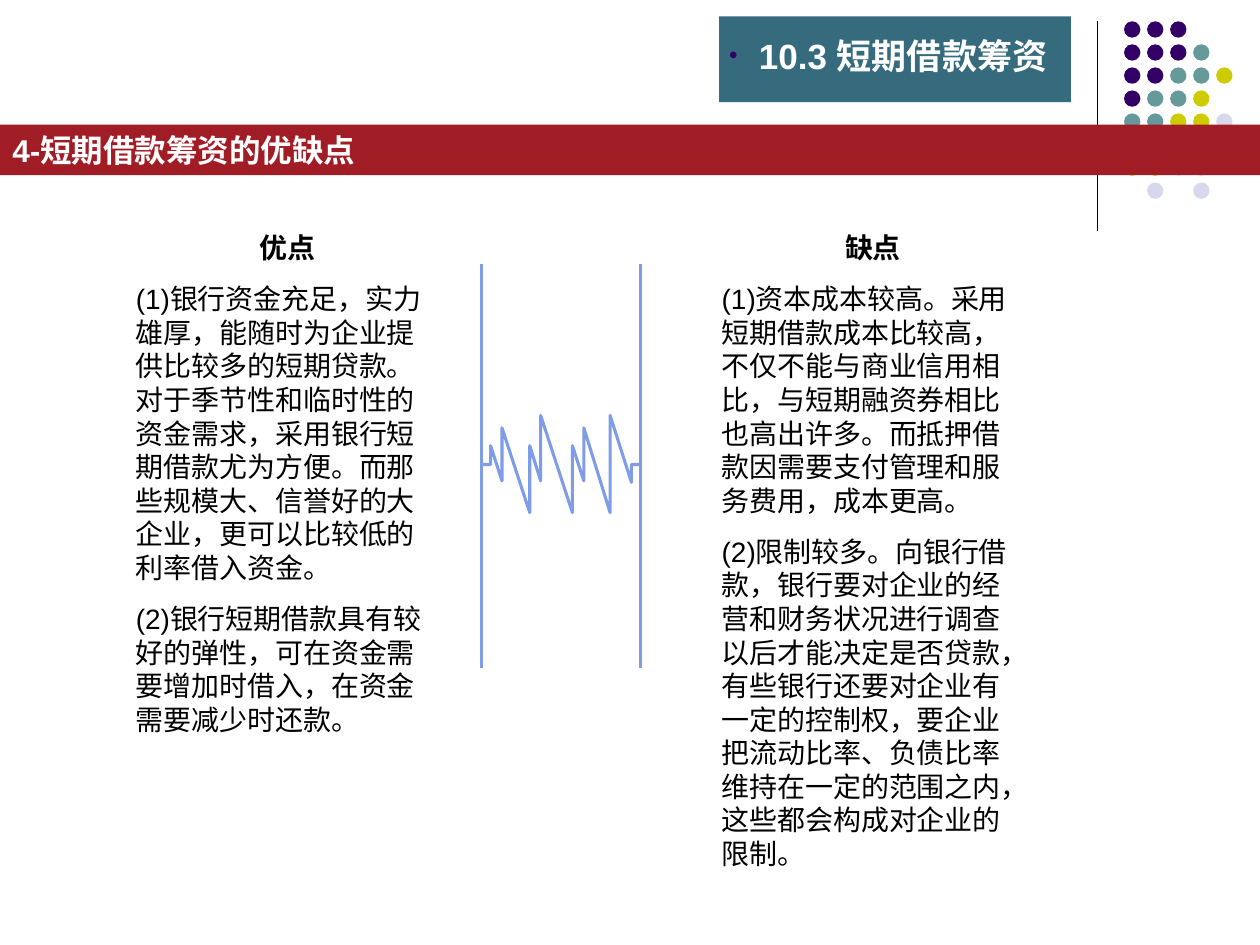
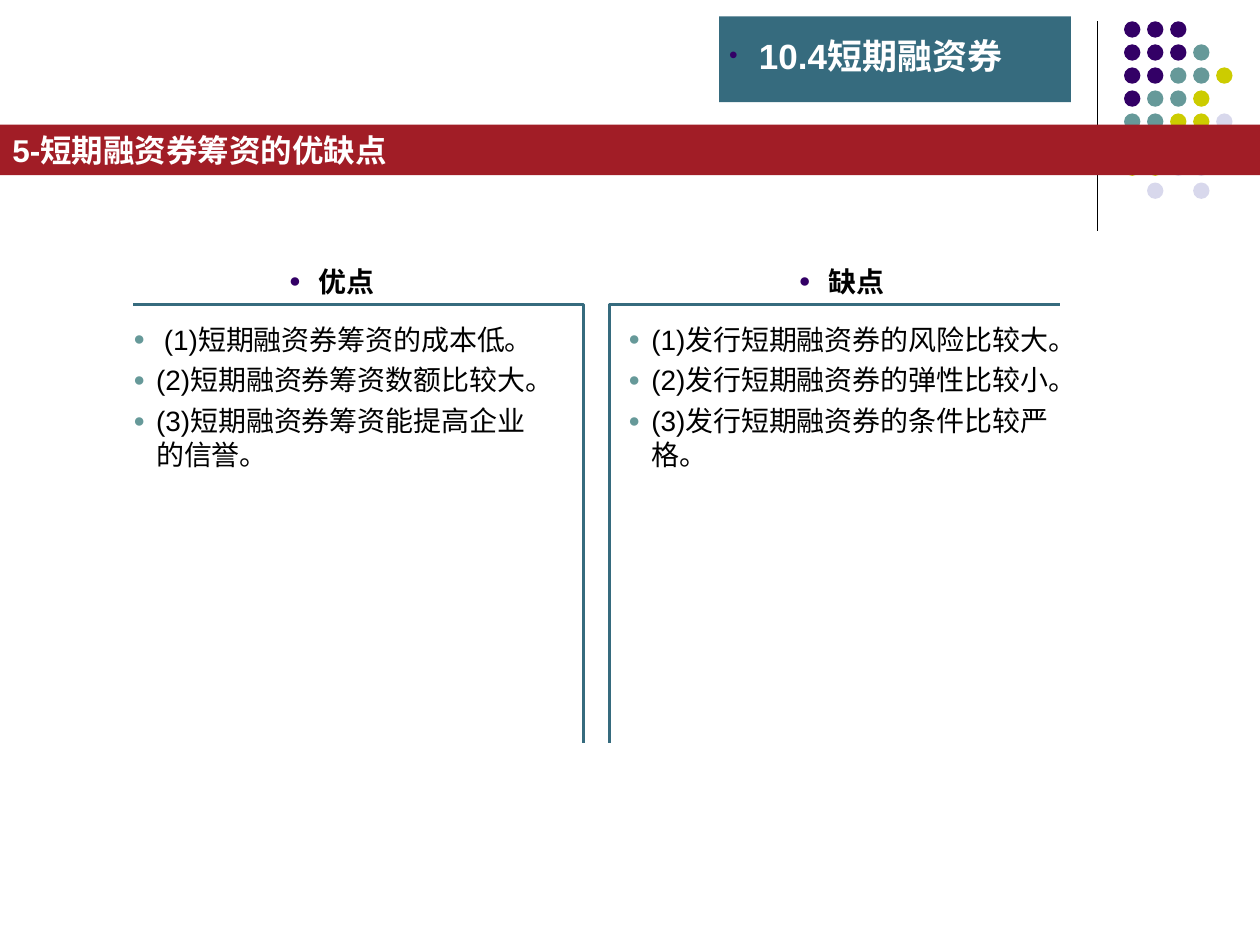
import pptx
import pptx.util
import pptx.dml.color
import pptx.enum.shapes
import pptx.enum.text
import pptx.oxml
import pptx.oxml.ns
from lxml import etree

Cm, Pt = pptx.util.Cm, pptx.util.Pt
SHAPE = pptx.enum.shapes.MSO_SHAPE
ALIGN = pptx.enum.text.PP_ALIGN
ANCHOR = pptx.enum.text.MSO_ANCHOR
qn = pptx.oxml.ns.qn

FONT = "Arial"
COLORS = {
    "band": "A11D26",
    "section": "366B7E",
    "break": "7E9CE8",
    "purple": "330066",
    "teal": "669999",
    "lime": "CCCC00",
    "lilac": "D8D8EC",
    "black": "000000",
    "white": "FFFFFF",
}
DOT_COLORS = {"P": "purple", "T": "teal", "Y": "lime", "L": "lilac"}
DOT_ROWS = ["PPP", "PPPT", "PPTTY", "PTTY", "TTYYL", "", "YYLL", " L L"]
INSET = (0.25, 0.13, 0.25, 0.13)


def rgb(name):
    return pptx.dml.color.RGBColor.from_string(COLORS[name])


def lengths(box):
    return [Cm(v) for v in box]


def add_bullet(p, char, color, indent):
    pPr = p._p.get_or_add_pPr()
    pPr.set("marL", str(Cm(indent)))
    pPr.set("indent", str(-Cm(indent)))
    clr = etree.SubElement(pPr, qn("a:buClr"))
    etree.SubElement(clr, qn("a:srgbClr"), val=COLORS[color])
    etree.SubElement(pPr, qn("a:buSzPct"), val="70000")
    etree.SubElement(pPr, qn("a:buFont"), typeface=FONT)
    etree.SubElement(pPr, qn("a:buChar"), char=char)


def write(tf, text, size=16, color="black", bold=False, align=ALIGN.LEFT,
          before=0, bullet=None, first=True):
    p = tf.paragraphs[0] if first else tf.add_paragraph()
    if bullet:
        add_bullet(p, *bullet)
    p.alignment = align
    p.line_spacing = Pt(1.2 * size)
    p.space_before = Pt(0 if first else before)
    r = p.add_run()
    r.text = text
    r.font.name = FONT
    r.font.size = Pt(size)
    r.font.bold = bold
    r.font.color.rgb = rgb(color)
    etree.SubElement(r.font._element, qn("a:ea"), typeface=FONT)


def set_frame(tf, inset=(0, 0, 0, 0), anchor=ANCHOR.TOP):
    tf.word_wrap = True
    tf.auto_size = pptx.enum.text.MSO_AUTO_SIZE.NONE
    tf.vertical_anchor = anchor
    tf.margin_left, tf.margin_top, tf.margin_right, tf.margin_bottom = lengths(inset)
    return tf


def add_text_frame(s, box, **frame):
    return set_frame(s.shapes.add_textbox(*lengths(box)).text_frame, **frame)


def add_filled(s, preset, box, color):
    sp = s.shapes.add_shape(preset, *lengths(box))
    sp.shadow.inherit = False
    sp.fill.solid()
    sp.fill.fore_color.rgb = rgb(color)
    sp.line.fill.background()
    return sp


def add_vertical(s, x, top, height, color, width):
    line = s.shapes.add_connector(pptx.enum.shapes.MSO_CONNECTOR.STRAIGHT,
                                  *lengths((x, top, x, top + height)))
    line.line.color.rgb = rgb(color)
    line.line.width = Pt(width)
    etree.SubElement(line._element.spPr, qn("a:effectLst"))


def add_outline(s, x, y, points, color):
    (start, *rest) = [(Cm(x + dx), Cm(y + dy)) for dx, dy in points]
    builder = s.shapes.build_freeform(*start)
    builder.add_line_segments(rest, close=False)
    sp = builder.convert_to_shape()
    sp.shadow.inherit = False
    sp.fill.background()
    sp.line.color.rgb = rgb(color)
    sp.line.width = Pt(1.75)


def draw_dots(s, x, y):
    step, size = 3.25 / 7, 0.33
    add_vertical(s, x - 0.53, y, 4.22, "black", 0.75)
    for row, codes in enumerate(DOT_ROWS):
        for col, code in enumerate(codes):
            if code in DOT_COLORS:
                box = (x + col * step, y + row * step, size, size)
                add_filled(s, SHAPE.OVAL, box, DOT_COLORS[code])


def draw_title(s, box, text):
    title = s.shapes.title
    s.shapes.element.append(title.element)
    title.left, title.top, title.width, title.height = lengths(box)
    title.fill.solid()
    title.fill.fore_color.rgb = rgb("band")
    write(set_frame(title.text_frame, inset=INSET, anchor=ANCHOR.MIDDLE),
          text, size=18, color="white", bold=True)


def draw_section(s, box, text):
    x, y, w, h = box
    add_filled(s, SHAPE.RECTANGLE, box, "section")
    tf = add_text_frame(s, (x + 0.2, y + 0.36, w - 0.1, 0.84), anchor=ANCHOR.MIDDLE)
    write(tf, text, size=20, color="white", bold=True, bullet=("•", "purple", 0.6))


def add_slide(prs, section, title):
    s = prs.slides.add_slide(prs.slide_layouts[5])
    draw_dots(s, 22.66, 0.43)
    draw_title(s, (0, 2.51, 25.4, 1.02), title)
    draw_section(s, (14.5, 0.33, 7.09, 1.73), section)
    return s


def draw_break(s, box):
    x, y, w, h = box
    for edge in (x, x + w):
        add_vertical(s, edge, y, h, "break", 1.75)
    zigzag = [(0, 0), (0.18, 0), (0.18, -0.38), (0.41, 0.33), (0.41, -0.74),
              (0.97, 0.97), (0.97, -0.38), (1.19, 0.33), (1.19, -0.99),
              (1.83, 0.97), (1.83, -0.38), (2.06, 0.33), (2.06, -0.74),
              (2.59, 0.97), (2.59, -0.99), (3.02, 0.36), (3.02, 0), (w, 0)]
    add_outline(s, x, y + h / 2 - 0.03, zigzag, "break")


def draw_prose(s, box, heading, paragraphs):
    tf = add_text_frame(s, box, inset=INSET)
    write(tf, heading, bold=True, align=ALIGN.CENTER)
    for text in paragraphs:
        write(tf, text, before=10, first=False)


def draw_list(s, box, heading, items):
    x, y, w, h = box
    tf = add_text_frame(s, (x, y, w, 0.69), anchor=ANCHOR.MIDDLE)
    write(tf, heading, bold=True, align=ALIGN.CENTER, bullet=("●", "purple", 0.6))
    tf = add_text_frame(s, (x, y + 1.18, w, h))
    for i, item in enumerate(items):
        write(tf, item, before=4, bullet=("●", "teal", 0.46), first=i == 0)


def draw_corner(s, outer, inner, top, height):
    add_outline(s, 0, top, [(outer, 0), (inner, 0), (inner, height)], "section")


def build_loans(prs):
    s = add_slide(prs, "10.3 短期借款筹资", "4-短期借款筹资的优缺点")
    draw_break(s, (9.71, 5.33, 3.21, 8.13))
    draw_prose(s, (2.49, 4.52, 6.6, 10.44), "优点", [
        "(1)银行资金充足，实力雄厚，能随时为企业提供比较多的短期贷款。对于季节性和临时性的资金需求，"
        "采用银行短期借款尤为方便。而那些规模大、信誉好的大企业，更可以比较低的利率借入资金。",
        "(2)银行短期借款具有较好的弹性，可在资金需要增加时借入，在资金需要减少时还款。",
    ])
    draw_prose(s, (14.3, 4.52, 6.6, 13.16), "缺点", [
        "(1)资本成本较高。采用短期借款成本比较高，不仅不能与商业信用相比，与短期融资券相比也高出许多。"
        "而抵押借款因需要支付管理和服务费用，成本更高。",
        "(2)限制较多。向银行借款，银行要对企业的经营和财务状况进行调查以后才能决定是否贷款，"
        "有些银行还要对企业有一定的控制权，要企业把流动比率、负债比率维持在一定的范围之内，"
        "这些都会构成对企业的限制。",
    ])


def build_notes(prs):
    s = add_slide(prs, "10.4短期融资券", "5-短期融资券筹资的优缺点")
    draw_list(s, (2.69, 5.32, 8.0, 4.34), "优点", [
        " (1)短期融资券筹资的成本低。",
        "(2)短期融资券筹资数额比较大。",
        "(3)短期融资券筹资能提高企业的信誉。",
    ])
    draw_corner(s, 2.69, 11.76, 6.14, 8.84)
    draw_list(s, (12.67, 5.32, 8.6, 4.34), "缺点", [
        "(1)发行短期融资券的风险比较大。",
        "(2)发行短期融资券的弹性比较小。",
        "(3)发行短期融资券的条件比较严格。",
    ])
    draw_corner(s, 21.36, 12.29, 6.14, 8.84)


def main():
    prs = pptx.Presentation()
    prs.slide_width, prs.slide_height = Cm(25.4), Cm(19.05)
    build_loans(prs)
    build_notes(prs)
    prs.save("out.pptx")


if __name__ == "__main__":
    main()
